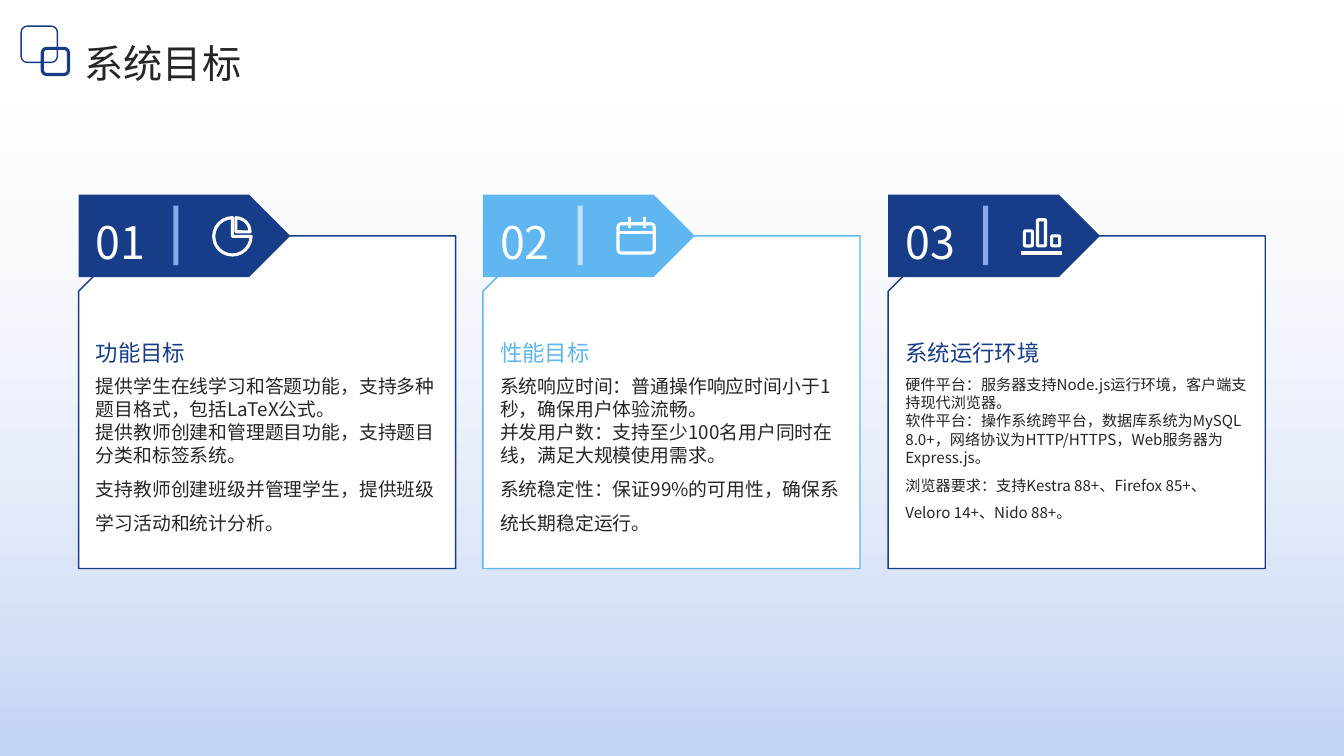
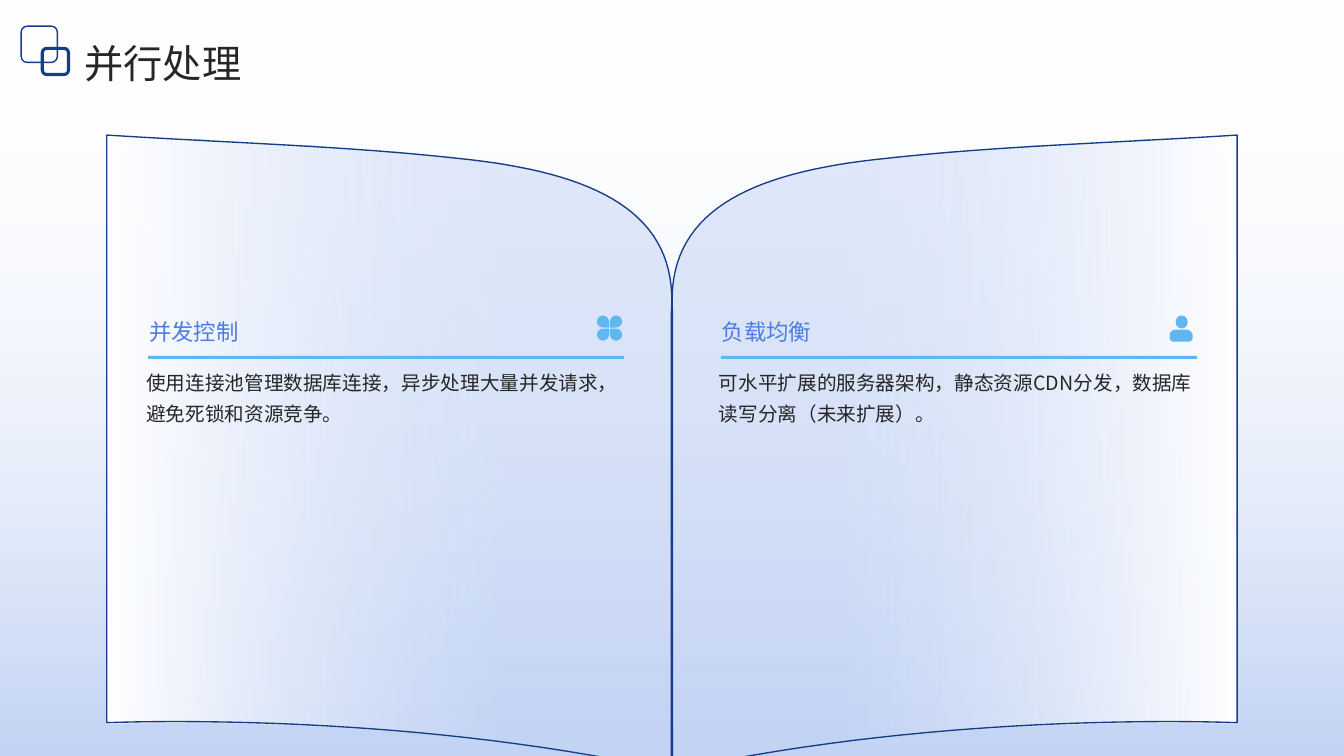
from lxml.etree import SubElement
from pptx import Presentation
from pptx.dml.color import RGBColor
from pptx.enum.shapes import MSO_CONNECTOR, MSO_SHAPE
from pptx.enum.text import MSO_ANCHOR
from pptx.oxml.ns import qn
from pptx.util import Pt

PX = 9144
SLIDE_W, SLIDE_H = 1333, 750
FONT = "Noto Sans CJK SC"
LINE_HEIGHT = 1.21
NAVY, SKY, BLUE = "173D89", "5FB6F1", "4B7DE1"
INK, WHITE, MIST = "262626", "FFFFFF", "C3D4F5"
STROKE = 2.25

GOALS = [
    ("01", "功能目标", NAVY, "87A8EB", 13.4, [
        "提供学生在线学习和答题功能，支持多种题目格式，包括LaTeX公式。",
        "提供教师创建和管理题目功能，支持题目分类和标签系统。",
        "支持教师创建班级并管理学生，提供班级学习活动和统计分析。"]),
    ("02", "性能目标", SKY, "BFE2F9", 13.4, [
        "系统响应时间：普通操作响应时间小于1秒，确保用户体验流畅。",
        "并发用户数：支持至少100名用户同时在线，满足大规模使用需求。",
        "系统稳定性：保证99%的可用性，确保系统长期稳定运行。"]),
    ("03", "系统运行环境", NAVY, "87A8EB", 10.8, [
        "硬件平台：服务器支持Node.js运行环境，客户端支持现代浏览器。",
        "软件平台：操作系统跨平台，数据库系统为MySQL 8.0+，网络协议为HTTP/HTTPS，Web服务器为Express.js。",
        "浏览器要求：支持Kestra 88+、Firefox 85+、Veloro 14+、Nido 88+。"]),
]
TOPICS = [
    ("并发控制", "使用连接池管理数据库连接，异步处理大量并发请求，避免死锁和资源竞争。"),
    ("负载均衡", "可水平扩展的服务器架构，静态资源CDN分发，数据库读写分离（未来扩展）。"),
]


def px(length):
    """Turn px into EMU."""
    return round(length * PX)


def rgb(color):
    """Turn a hex string into a colour."""
    return RGBColor.from_string(color)


def paint(shape, fill=None, line=None, width=1):
    """Set fill and outline, and drop the shadow."""
    shape.shadow.inherit = False
    if fill:
        shape.fill.solid()
        shape.fill.fore_color.rgb = rgb(fill)
    else:
        shape.fill.background()
    if line:
        shape.line.color.rgb = rgb(line)
        shape.line.width = Pt(width)
    else:
        shape.line.fill.background()
    return shape


def paint_gradient(shape, angle, stops):
    """Fill with two stops, each a position, colour and opacity in percent."""
    shape.fill.gradient()
    shape.fill.gradient_angle = angle
    for stop, (position, color, _) in zip(shape.fill.gradient_stops, stops):
        stop.position = position / 100
        stop.color.rgb = rgb(color)
    for node, (_, _, opacity) in zip(shape.element.iter(qn("a:gs")), stops):
        SubElement(node[0], qn("a:alpha")).set("val", str(opacity * 1000))


def add_preset(slide, kind, box, adjust=(), **look):
    """Add a preset shape at a px box."""
    shape = slide.shapes.add_shape(kind, *map(px, box))
    for index, value in enumerate(adjust):
        shape.adjustments[index] = value
    return paint(shape, **look)


def add_stroke(slide, start, end, color, width=STROKE):
    """Add a straight line between two px points."""
    stroke = slide.shapes.add_connector(
        MSO_CONNECTOR.STRAIGHT, *map(px, start + end))
    stroke.line.color.rgb = rgb(color)
    stroke.line.width = Pt(width)
    SubElement(stroke.element.spPr, qn("a:effectLst"))


def add_text(slide, text, box, size, color=INK, spacing=(1.3,),
             anchor=MSO_ANCHOR.TOP):
    """Add a text box, with one paragraph for each spacing value."""
    frame = slide.shapes.add_textbox(*map(px, box)).text_frame
    frame.word_wrap = True
    frame.vertical_anchor = anchor
    frame.margin_left = frame.margin_right = 0
    frame.margin_top = frame.margin_bottom = 0
    frame.text = text
    for paragraph, ratio in zip(frame.paragraphs, spacing):
        paragraph.line_spacing = Pt(round(size * LINE_HEIGHT * ratio, 1))
        for run in paragraph.runs:
            run.font.size = Pt(size)
            run.font.color.rgb = rgb(color)
            run.font.name = FONT
            east_asian = SubElement(run.font._element, qn("a:ea"))
            east_asian.set("typeface", FONT)


def curve(start, first, second, end, steps=32):
    """Return points along a cubic curve."""
    points = []
    for step in range(steps + 1):
        t = step / steps
        weights = ((1 - t) ** 3, 3 * t * (1 - t) ** 2, 3 * t * t * (1 - t), t ** 3)
        points.append(tuple(
            sum(weight * value for weight, value in zip(weights, axis))
            for axis in zip(start, first, second, end)))
    return points


def add_page(slide, mirrored):
    """Draw one page of the open book."""
    outline = [(667, 765)]
    outline += curve((667, 310), (660, 212), (739, 171), (880, 157))
    outline += curve((880, 157), (989, 145), (1100, 142), (1227, 134))
    outline += curve((1227, 717), (1227, 717), (941, 704), (667, 765))
    if mirrored:
        outline = [(SLIDE_W - x, y) for x, y in outline]
    corners = [(px(x), px(y)) for x, y in outline]
    builder = slide.shapes.build_freeform(*corners[0], scale=1.0)
    builder.add_line_segments(corners[1:], close=True)
    page = paint(builder.convert_to_shape(), line=NAVY, width=0.95)
    paint_gradient(page, 0 if mirrored else 180,
                   [(0, WHITE, 100), (69, MIST, 50)])


def add_pie_icon(slide, left, top):
    """Draw a pie chart with one slice pulled out."""
    for box, angles in [((left + 2, top + 2, 37, 37), (0, 162)),
                        ((left + 10, top + 2, 28, 28), (162, 0))]:
        add_preset(slide, MSO_SHAPE.PIE, box, angles, line=WHITE, width=STROKE)


def add_calendar_icon(slide, left, top):
    """Draw a calendar sheet."""
    add_preset(slide, MSO_SHAPE.ROUNDED_RECTANGLE, (left + 2, top + 8, 36, 29),
               (0.12,), line=WHITE, width=STROKE)
    add_stroke(slide, (left + 2, top + 17), (left + 38, top + 17), WHITE)
    for ring in (left + 13, left + 28):
        add_stroke(slide, (ring, top + 1), (ring, top + 12), WHITE)


def add_bars_icon(slide, left, top):
    """Draw three bars on a base line."""
    for index, height in enumerate((15, 26, 10)):
        box = (left + 3 + index * 27 // 2, top + 30 - height, 8, height)
        add_preset(slide, MSO_SHAPE.ROUNDED_RECTANGLE, box, (0.15,),
                   line=WHITE, width=STROKE)
    add_stroke(slide, (left, top + 37), (left + 40, top + 37), WHITE)


def add_clover_icon(slide, left, top):
    """Draw four petals that point to the centre."""
    for column, row, turn in [(0, 0, 90), (1, 0, 180), (0, 1, 0), (1, 1, 270)]:
        petal = add_preset(slide, MSO_SHAPE.TEAR,
                           (left + column * 13, top + row * 13, 12, 12), fill=SKY)
        petal.rotation = turn


def add_person_icon(slide, left, top):
    """Draw a head and shoulders."""
    add_preset(slide, MSO_SHAPE.OVAL, (left + 6, top, 12, 13), fill=SKY)
    add_preset(slide, MSO_SHAPE.ROUND_2_SAME_RECTANGLE,
               (left, top + 14, 23, 12), (0.5, 0.35), fill=SKY)


def add_base(deck, title):
    """Add a slide with the shared backdrop, title and emblem."""
    slide = deck.slides.add_slide(deck.slide_layouts[6])
    backdrop = add_preset(slide, MSO_SHAPE.RECTANGLE, (0, 0, SLIDE_W, SLIDE_H))
    paint_gradient(backdrop, 270, [(0, WHITE, 0), (100, MIST, 100)])
    add_text(slide, title, (84, 25, 1135, 59), 28)
    for box, width in [((21, 26, 36, 36), 1), ((42, 48, 26, 26), STROKE)]:
        add_preset(slide, MSO_SHAPE.ROUNDED_RECTANGLE, box, line=NAVY, width=width)
    return slide


def add_goal(slide, left, goal, add_icon):
    """Draw one goal card with its numbered arrow plate."""
    number, heading, color, accent, size, lines = goal
    card = add_preset(slide, MSO_SHAPE.SNIP_1_RECTANGLE, (left, 234, 374, 330),
                      fill=WHITE, line=color)
    card.element.spPr.get_or_add_xfrm().set("flipH", "1")
    add_text(slide, heading, (left + 17, 285, 339, 78), 16, color,
             anchor=MSO_ANCHOR.BOTTOM)
    add_text(slide, "\n".join(lines), (left + 17, 372, 339, 168), size,
             spacing=(1, 1, 1.5))
    add_preset(slide, MSO_SHAPE.PENTAGON, (left, 193, 210, 82), fill=color)
    add_text(slide, number, (left + 17, 202, 77, 64), 32, WHITE, (1.1,),
             MSO_ANCHOR.BOTTOM)
    add_preset(slide, MSO_SHAPE.RECTANGLE, (left + 94, 204, 5, 59), fill=accent)
    add_icon(slide, left + 132, 214)


def add_topic(slide, left, topic, add_icon):
    """Draw one topic on its book page."""
    heading, body = topic
    add_text(slide, heading, (left + 3, 283, 300, 59), 16, BLUE, (1.1,),
             MSO_ANCHOR.BOTTOM)
    add_text(slide, body, (left, 361, 479, 302), 14)
    add_icon(slide, left + 447, 313)
    add_preset(slide, MSO_SHAPE.RECTANGLE, (left + 2, 353, 472, 3), fill=SKY)


def main():
    """Build the deck."""
    deck = Presentation()
    deck.slide_width, deck.slide_height = px(SLIDE_W), px(SLIDE_H)

    goals = add_base(deck, "系统目标")
    goal_icons = (add_pie_icon, add_calendar_icon, add_bars_icon)
    for index, (goal, add_icon) in enumerate(zip(GOALS, goal_icons)):
        add_goal(goals, 78 + index * 803 // 2, goal, add_icon)

    parallel = add_base(deck, "并行处理")
    for mirrored in (False, True):
        add_page(parallel, mirrored)
    topic_icons = (add_clover_icon, add_person_icon)
    for index, (topic, add_icon) in enumerate(zip(TOPICS, topic_icons)):
        add_topic(parallel, 145 + index * 568, topic, add_icon)

    deck.save("out.pptx")


if __name__ == "__main__":
    main()
